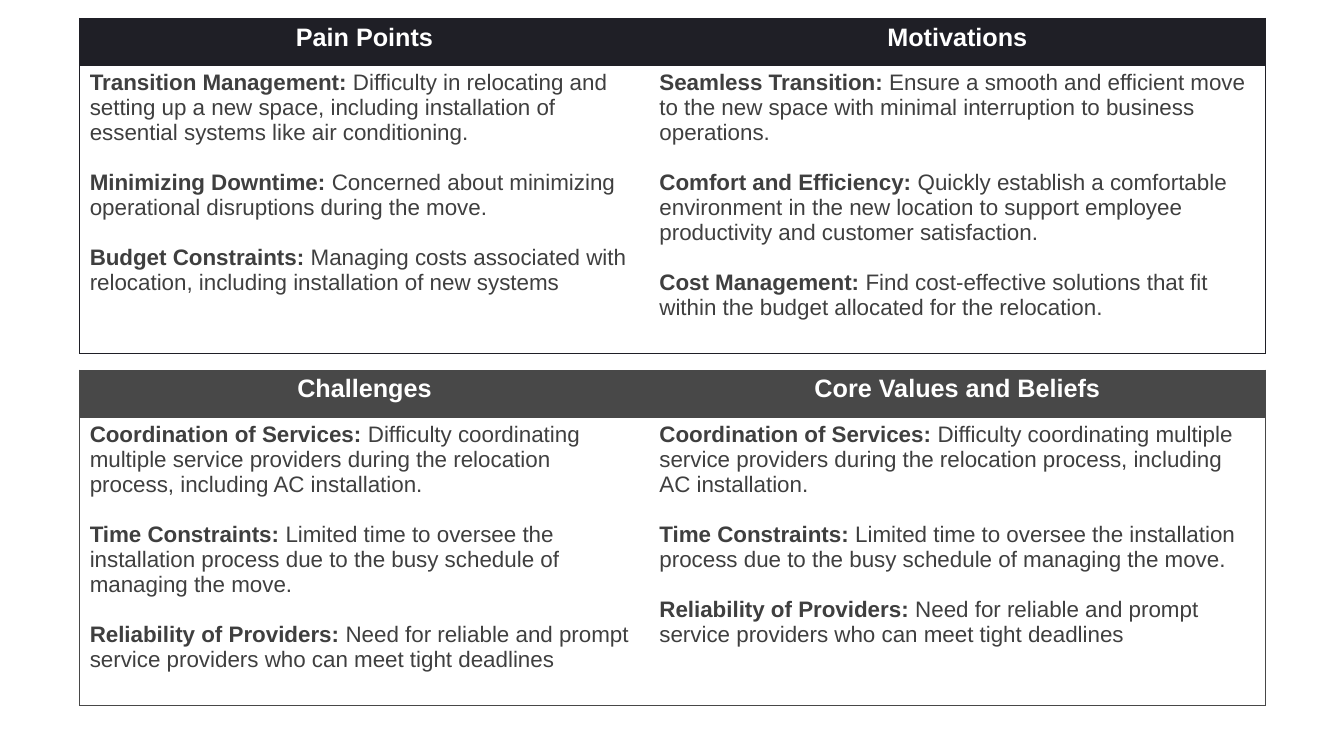
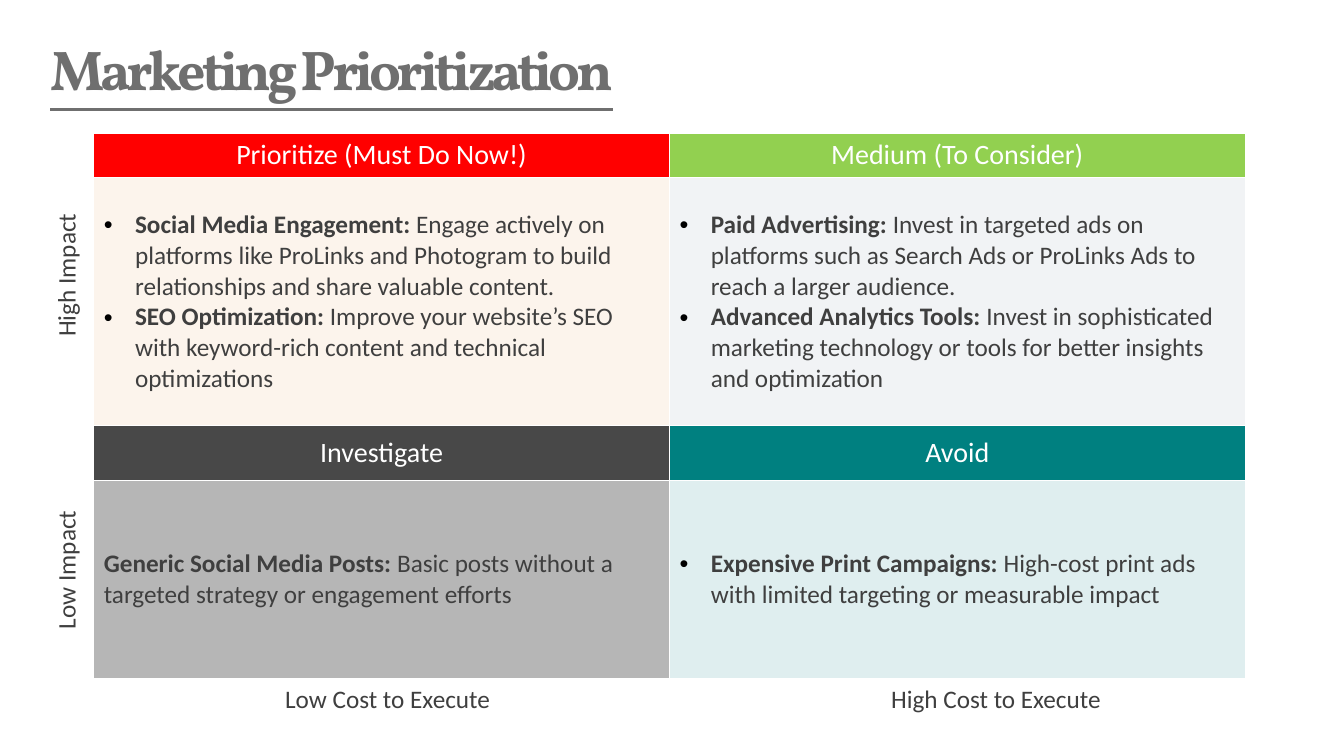
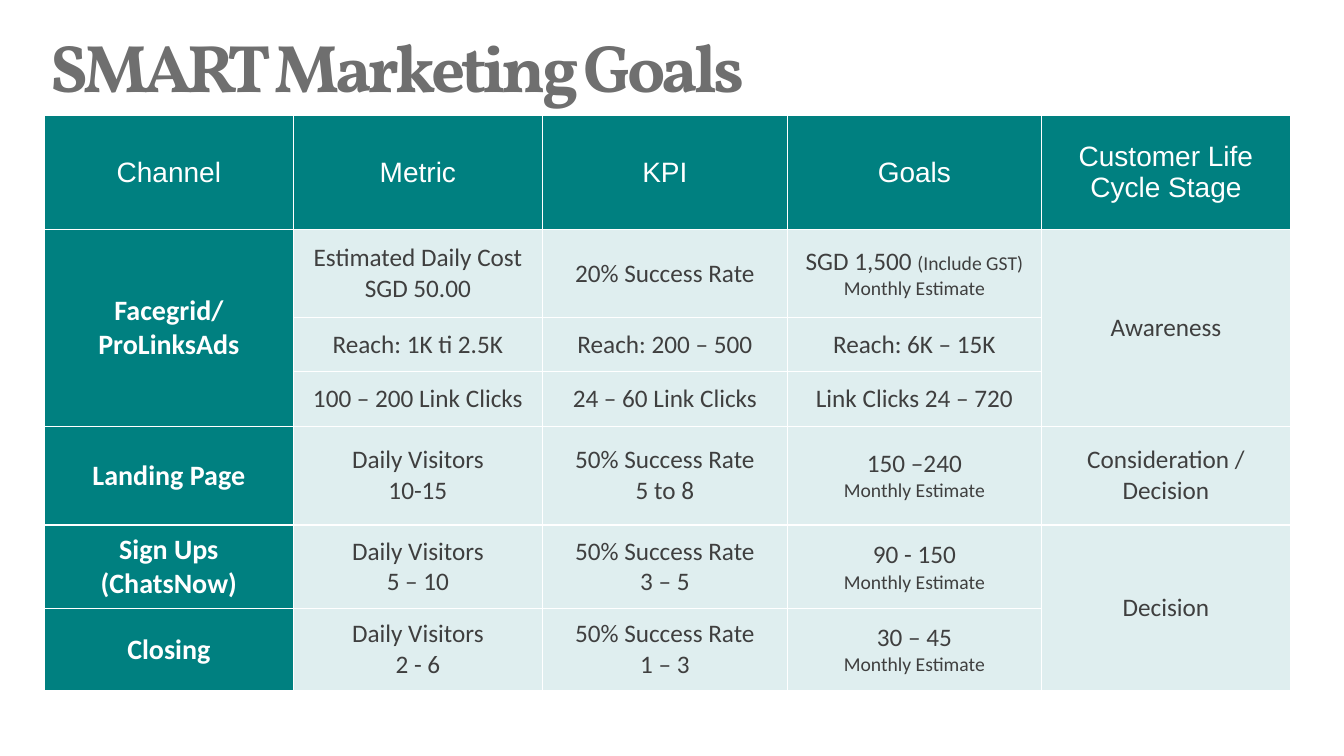
from collections import namedtuple

from lxml import etree
from pptx import Presentation
from pptx.dml.color import RGBColor
from pptx.enum.text import MSO_ANCHOR, MSO_AUTO_SIZE, PP_ALIGN
from pptx.oxml.ns import qn
from pptx.util import Inches, Pt

LEFT, CENTER = PP_ALIGN.LEFT, PP_ALIGN.CENTER
TOP, MIDDLE = MSO_ANCHOR.TOP, MSO_ANCHOR.MIDDLE
NO_AUTOFIT = MSO_AUTO_SIZE.NONE

WHITE, BLACK, TEXT, TITLE_GREY = "FFFFFF", "000000", "3F3F3F", "6F6F6F"
INK, CHARCOAL, SILVER = "1F1F26", "484848", "B6B6B6"
RED, GREEN, TEAL = "FF0000", "92D050", "008080"
CREAM, MIST, AQUA = "FCF4EC", "F1F3F5", "DFEEEF"
SANS, BODY, SERIF = "Arial", "Calibri", "Vollkorn"
PLAIN_TABLE_STYLE = "{2D5ABB26-0587-4C30-8999-92F81FD0307C}"
TITLE_ONLY, BLANK = 5, 6

Style = namedtuple("Style", "font size color bold align", defaults=(False, LEFT))
Span = namedtuple("Span", "text size bold", defaults=(None, None))

PERSONA_HEAD = Style(SANS, 18, WHITE, True, CENTER)
PERSONA_BODY = Style(SANS, 16, TEXT)
MATRIX_HEAD = Style(BODY, 20, WHITE, False, CENTER)
MATRIX_BODY = Style(BODY, 18, TEXT)
GOAL_HEAD = Style(SANS, 20, WHITE, False, CENTER)
GOAL_CHANNEL = Style(BODY, 20, WHITE, True, CENTER)
GOAL_BODY = Style(BODY, 18, TEXT, False, CENTER)


def rgb(value):
    return RGBColor.from_string(value)


def lead(term, detail):
    """A paragraph that opens with a bold term."""
    return [Span(term + ":", bold=True), Span(" " + detail)]


def add_bullet(para):
    properties = para._p.get_or_add_pPr()
    properties.set("marL", str(Inches(0.31)))
    properties.set("indent", str(-Inches(0.31)))
    color = etree.SubElement(properties, qn("a:buClr"))
    etree.SubElement(color, qn("a:srgbClr"), val=BLACK)
    etree.SubElement(properties, qn("a:buFont"), typeface=SANS)
    etree.SubElement(properties, qn("a:buChar"), char="•")


def write(frame, paragraphs, style, gap=0, bullet=False):
    """Fill a frame with paragraphs, each a string or a list of spans."""
    for index, content in enumerate(paragraphs):
        para = frame.paragraphs[0] if index == 0 else frame.add_paragraph()
        para.alignment = style.align
        if index and gap:
            para.space_before = Pt(gap)
        if bullet:
            add_bullet(para)
        spans = [Span(content)] if isinstance(content, str) else content
        for span in spans:
            run = para.add_run()
            run.text = span.text
            run.font.name = style.font
            run.font.size = Pt(span.size or style.size)
            run.font.bold = style.bold if span.bold is None else span.bold
            run.font.color.rgb = rgb(style.color)


def add_title(page, text, size, top, width):
    title = page.shapes.title
    title.left, title.top = Inches(0.3), Inches(top)
    title.width, title.height = Inches(width), Inches(0.89)
    title.fill.solid()
    title.fill.fore_color.rgb = rgb(WHITE)
    frame = title.text_frame
    frame.auto_size = NO_AUTOFIT
    frame.word_wrap = True
    frame.vertical_anchor = MIDDLE
    frame.margin_left = frame.margin_right = Inches(0.2)
    frame.margin_top = frame.margin_bottom = Inches(0.2)
    write(frame, [text], Style(SERIF, size, TITLE_GREY, True))
    para = frame.paragraphs[0]
    para.line_spacing = 0.9
    font = para.runs[0].font
    font.underline = True
    para.runs[0]._r.get_or_add_rPr().set("spc", "-300")


def add_label(page, text, left, top, width, height, upward=False):
    box = page.shapes.add_textbox(
        Inches(left), Inches(top), Inches(width), Inches(height))
    frame = box.text_frame
    frame.word_wrap = not upward
    if upward:
        frame._txBody.bodyPr.set("vert", "vert270")
    write(frame, [text], MATRIX_BODY)


def add_table(page, left, top, widths, heights):
    frame = page.shapes.add_table(
        len(heights), len(widths), Inches(left), Inches(top),
        Inches(sum(widths)), Inches(sum(heights)))
    table = frame.table
    table._tbl.tblPr.find(qn("a:tableStyleId")).text = PLAIN_TABLE_STYLE
    for column, width in zip(table.columns, widths):
        column.width = Inches(width)
    for row, height in zip(table.rows, heights):
        row.height = Inches(height)
    return table


def set_borders(cell, color, width, sides="LRTB"):
    properties = cell._tc.get_or_add_tcPr()
    for side in sides:
        line = etree.SubElement(
            properties, qn("a:ln" + side), w=str(Pt(width)))
        fill = etree.SubElement(line, qn("a:solidFill"))
        etree.SubElement(fill, qn("a:srgbClr"), val=color)


def style_cell(cell, fill, border, width, sides="LRTB", anchor=MIDDLE):
    set_borders(cell, border, width, sides)
    cell.vertical_anchor = anchor
    if fill:
        cell.fill.solid()
        cell.fill.fore_color.rgb = rgb(fill)
    else:
        cell.fill.background()


def add_persona_table(page, top, color, columns):
    """Two headed columns inside one outline."""
    table = add_table(page, 0.79, top, [5.65, 6.11], [0.47, 2.86])
    for index, (heading, items) in enumerate(columns):
        outer = "LR"[index]
        head, body = table.cell(0, index), table.cell(1, index)
        style_cell(head, color, color, 0.5, outer + "TB", TOP)
        write(head.text_frame, [heading], PERSONA_HEAD)
        style_cell(body, None, color, 0.5, outer + "TB", TOP)
        write(body.text_frame, [lead(*item) for item in items],
              PERSONA_BODY, gap=18)


def add_matrix_table(page, top, heights, quadrants):
    table = add_table(page, 0.93, top, [5.71, 5.71], heights)
    for index, quadrant in enumerate(quadrants):
        heading, head_fill, body_fill, bullet, items = quadrant
        head, body = table.cell(0, index), table.cell(1, index)
        style_cell(head, head_fill, WHITE, 1)
        write(head.text_frame, [heading], MATRIX_HEAD)
        style_cell(body, body_fill, WHITE, 1)
        write(body.text_frame, [lead(*item) for item in items],
              MATRIX_BODY, bullet=bullet)


def add_goal_table(page, rows, merges):
    """Draw the goals grid; None marks a cell covered by a merge."""
    widths = [2.47, 2.47, 2.43, 2.52, 2.47]
    heights = [1.14, 0.87, 0.54, 0.54, 0.98, 0.83, 0.77]
    table = add_table(page, 0.44, 1.14, widths, heights)
    for first_row, last_row, column in merges:
        table.cell(first_row, column).merge(table.cell(last_row, column))
    for row, contents in enumerate(rows):
        for column, paragraphs in enumerate(contents):
            cell = table.cell(row, column)
            is_label = row == 0 or column == 0
            style_cell(cell, TEAL if is_label else AQUA, WHITE, 1)
            if paragraphs is None:
                continue
            if row == 0:
                style = GOAL_HEAD
            elif column == 0:
                style = GOAL_CHANNEL
            else:
                style = GOAL_BODY
                cell.margin_top = cell.margin_bottom = Inches(0.1)
            write(cell.text_frame, paragraphs, style)


def build_persona(page):
    add_persona_table(page, 0.18, INK, [
        ("Pain Points", [
            ("Transition Management",
             "Difficulty in relocating and setting up a new space, including "
             "installation of essential systems like air conditioning."),
            ("Minimizing Downtime",
             "Concerned about minimizing operational disruptions during "
             "the move."),
            ("Budget Constraints",
             "Managing costs associated with relocation, including "
             "installation of new systems"),
        ]),
        ("Motivations", [
            ("Seamless Transition",
             "Ensure a smooth and efficient move to the new space with "
             "minimal interruption to business operations."),
            ("Comfort and Efficiency",
             "Quickly establish a comfortable environment in the new location "
             "to support employee productivity and customer satisfaction."),
            ("Cost Management",
             "Find cost-effective solutions that fit within the budget "
             "allocated for the relocation."),
        ]),
    ])
    service_issues = [
        ("Coordination of Services",
         "Difficulty coordinating multiple service providers during the "
         "relocation process, including AC installation."),
        ("Time Constraints",
         "Limited time to oversee the installation process due to the busy "
         "schedule of managing the move."),
        ("Reliability of Providers",
         "Need for reliable and prompt service providers who can meet tight "
         "deadlines"),
    ]
    add_persona_table(page, 3.67, CHARCOAL, [
        ("Challenges", service_issues),
        ("Core Values and Beliefs", service_issues),
    ])


def build_matrix(page):
    add_title(page, "Marketing Prioritization", 40, 0.27, 7.3)
    add_matrix_table(page, 1.32, [0.43, 2.47], [
        ("Prioritize (Must Do Now!)", RED, CREAM, True, [
            ("Social Media Engagement",
             "Engage actively on platforms like ProLinks and Photogram to "
             "build relationships and share valuable content."),
            ("SEO Optimization",
             "Improve your website’s SEO with keyword-rich content and "
             "technical optimizations"),
        ]),
        ("Medium (To Consider)", GREEN, MIST, True, [
            ("Paid Advertising",
             "Invest in targeted ads on platforms such as Search Ads or "
             "ProLinks Ads to reach a larger audience."),
            ("Advanced Analytics Tools",
             "Invest in sophisticated marketing technology or tools for "
             "better insights and optimization"),
        ]),
    ])
    add_matrix_table(page, 4.22, [0.55, 1.96], [
        ("Investigate", CHARCOAL, SILVER, False, [
            ("Generic Social Media Posts",
             "Basic posts without a targeted strategy or engagement efforts"),
        ]),
        ("Avoid", TEAL, AQUA, True, [
            ("Expensive Print Campaigns",
             "High-cost print ads with limited targeting or measurable "
             "impact"),
        ]),
    ])
    add_label(page, "High Impact", 0.45, 2.1, 0.5, 1.34, upward=True)
    add_label(page, "Low Impact", 0.45, 5.05, 0.5, 1.29, upward=True)
    add_label(page, "Low Cost to Execute", 2.73, 6.73, 2.31, 0.4)
    add_label(page, "High Cost to Execute", 8.74, 6.73, 2.31, 0.4)


def build_goals(page):
    add_title(page, "SMART Marketing Goals", 48, 0.26, 7.5)
    monthly = [Span("Monthly Estimate", 14)]
    budget = [Span("SGD 1,500 "), Span("(Include GST)", 14)]
    visitors, success = "Daily Visitors", "50% Success Rate"
    rows = [
        [["Channel"], ["Metric"], ["KPI"], ["Goals"],
         ["Customer Life Cycle Stage"]],
        [["Facegrid/ProLinksAds"], ["Estimated Daily Cost SGD 50.00"],
         ["20% Success Rate"], [budget, monthly], ["Awareness"]],
        [None, ["Reach: 1K ti 2.5K"], ["Reach: 200 – 500"],
         ["Reach: 6K – 15K"], None],
        [None, ["100 – 200 Link Clicks"], ["24 – 60 Link Clicks"],
         ["Link Clicks 24 – 720"], None],
        [["Landing Page"], [visitors, "10-15"], [success, "5 to 8"],
         ["150 –240", monthly], ["Consideration / Decision"]],
        [["Sign Ups (ChatsNow)"], [visitors, "5 – 10"], [success, "3 – 5"],
         ["90 - 150", monthly], ["Decision"]],
        [["Closing"], [visitors, "2 - 6"], [success, "1 – 3"],
         ["30 – 45", monthly], None],
    ]
    add_goal_table(page, rows, merges=[(1, 3, 0), (1, 3, 4), (5, 6, 4)])


def main():
    deck = Presentation()
    deck.slide_width, deck.slide_height = Inches(13.33), Inches(7.5)
    for layout, build in [(BLANK, build_persona), (TITLE_ONLY, build_matrix),
                          (TITLE_ONLY, build_goals)]:
        build(deck.slides.add_slide(deck.slide_layouts[layout]))
    deck.save("out.pptx")


if __name__ == "__main__":
    main()
